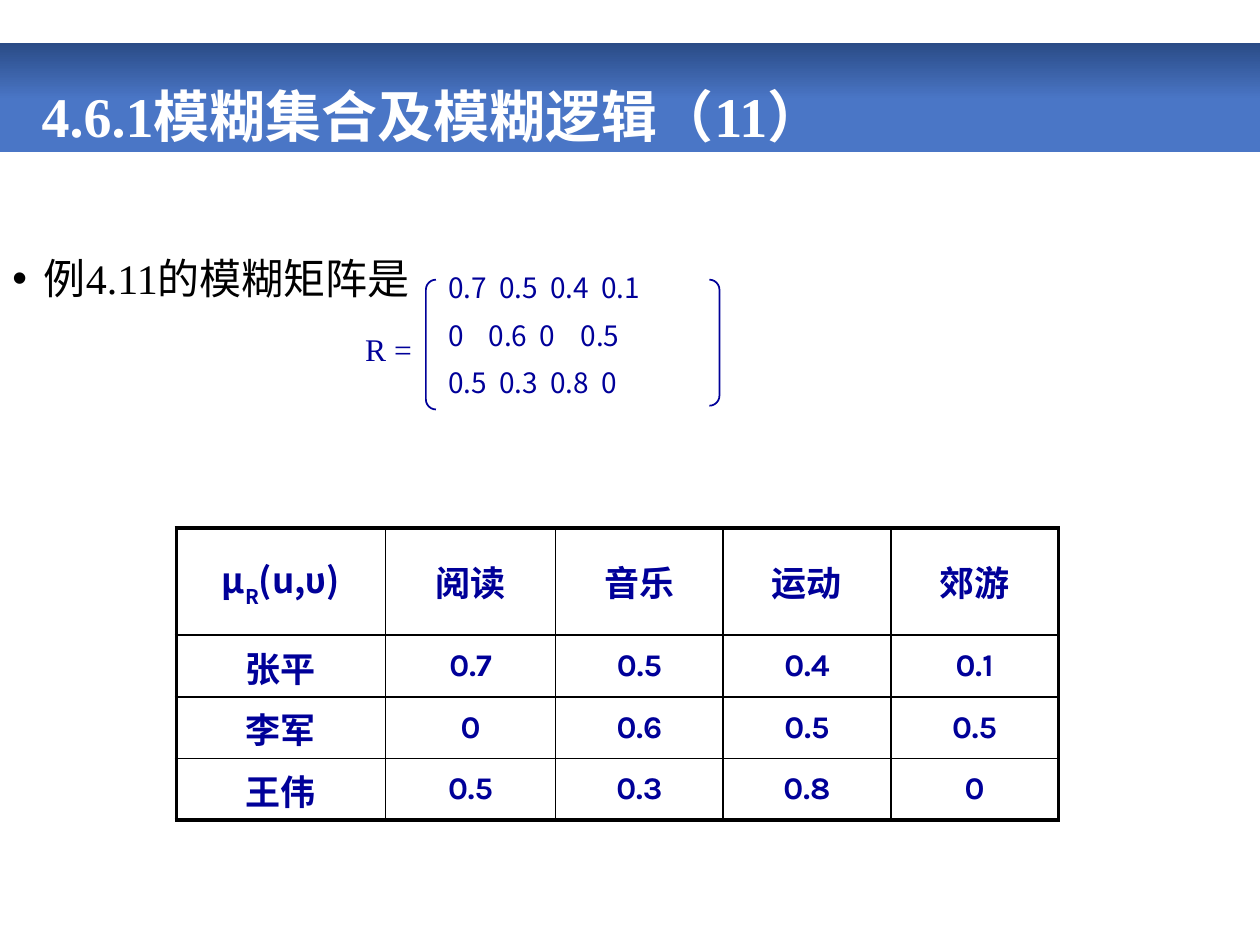
"""Build the fuzzy matrix slide: title band, relation matrix R and membership table."""
from lxml.etree import SubElement
from pptx import Presentation
from pptx.dml.color import RGBColor
from pptx.enum.shapes import MSO_SHAPE
from pptx.enum.text import MSO_ANCHOR, PP_ALIGN
from pptx.oxml.ns import qn
from pptx.util import Inches, Pt

NAVY = RGBColor(0x00, 0x00, 0x99)
WHITE = RGBColor(0xFF, 0xFF, 0xFF)
BLACK = RGBColor(0x00, 0x00, 0x00)
BAND_LIGHT = RGBColor(0x4A, 0x76, 0xC6)
BAND_DARK = RGBColor(0x2A, 0x4B, 0x86)
SERIF, SANS, CJK, NUM = "Times New Roman", "Calibri", "Noto Sans CJK SC", "Karla"


def child(parent, tag, **attrs):
    return SubElement(parent, qn(tag), **attrs)


def write(p, text, size, font, color, bold=False):
    r = p.add_run()
    r.text = text
    r.font.size, r.font.name, r.font.bold = Pt(size), font, bold
    r.font.color.rgb = color
    child(r._r.get_or_add_rPr(), "a:ea", typeface=CJK)
    return r


prs = Presentation()
prs.slide_width, prs.slide_height = Inches(10), Inches(7.5)
COL, ROW = prs.slide_width // 100, prs.slide_height // 75
s = prs.slides.add_slide(prs.slide_layouts[5])

band = s.shapes.add_shape(MSO_SHAPE.RECTANGLE, 0, int(3.4 * ROW), 100 * COL, int(8.7 * ROW))
band.shadow.inherit = False
band.line.fill.background()
band.fill.gradient()
band.fill.gradient_angle = 90
for stop, color, pos in zip(band.fill.gradient_stops, (BAND_LIGHT, BAND_DARK), (0.48, 1)):
    stop.color.rgb, stop.position = color, pos
s.shapes._spTree.insert(2, band._element)

title = s.shapes.title
title.left, title.top = int(2.3 * COL), int(4.7 * ROW)
title.width, title.height = int(93.5 * COL), int(7.7 * ROW)
tf = title.text_frame
tf.vertical_anchor = MSO_ANCHOR.BOTTOM
p = tf.paragraphs[0]
p.alignment, p.line_spacing = PP_ALIGN.LEFT, 0.9
write(p, "4.6.1模糊集合及模糊逻辑（11）", 32, SERIF, WHITE, True)

body = s.shapes.add_textbox(0, 20 * ROW, int(86.2 * COL), int(47.6 * ROW))
tf = body.text_frame
tf.word_wrap = True
p = tf.paragraphs[0]
p.line_spacing, p.space_before = 0.9, Pt(10)
pPr = p._p.get_or_add_pPr()
pPr.set("marL", str(Inches(0.25)))
pPr.set("indent", str(-Inches(0.25)))
child(pPr, "a:buFont", typeface="Arial")
child(pPr, "a:buChar", char="•")
for text, font in (("例", SANS), ("4.11", SERIF), ("的模糊矩阵是", SANS)):
    write(p, text, 24, font, BLACK)

matrix = s.shapes.add_group_shape()
tf = matrix.shapes.add_textbox(int(34.6 * COL), 21 * ROW, int(22.6 * COL), int(11.7 * ROW)).text_frame
tf.word_wrap = True
even = (4.05, 8.1, 12.15)
lines = (("0.7\t0.5\t0.4\t0.1", even), ("0\t0.6\t0\t0.5", (3.2, 7.25, 10.5)), ("0.5\t0.3\t0.8\t0", even))
for i, (text, tabs) in enumerate(lines):
    p = tf.add_paragraph() if i else tf.paragraphs[0]
    pPr = p._p.get_or_add_pPr()
    child(child(pPr, "a:spcBef"), "a:spcPct", val="50000")
    stops = child(pPr, "a:tabLst")
    for tab in tabs:
        child(stops, "a:tab", pos=str(int(tab * COL)), algn="l")
    write(p, text, 16, CJK, NAVY)

tf = matrix.shapes.add_textbox(28 * COL, int(25.7 * ROW), int(6.9 * COL), 4 * ROW).text_frame
tf.word_wrap = True
p = tf.paragraphs[0]
child(child(p._p.get_or_add_pPr(), "a:spcBef"), "a:spcPct", val="50000")
write(p, "R =", 18, SERIF, NAVY)

for kind, x, h in ((MSO_SHAPE.LEFT_BRACKET, 33.8, 10.3), (MSO_SHAPE.RIGHT_BRACKET, 56.3, 10)):
    sp = matrix.shapes.add_shape(kind, int(x * COL), int(22.2 * ROW), int(0.8 * COL), int(h * ROW))
    sp.shadow.inherit = False
    sp.adjustments[0] = 1
    sp.fill.background()
    sp.line.color.rgb, sp.line.width = NAVY, Pt(1)

data = (
    ("μ", "阅读", "音乐", "运动", "郊游"),
    ("张平", "0.7", "0.5", "0.4", "0.1"),
    ("李军", "0", "0.6", "0.5", "0.5"),
    ("王伟", "0.5", "0.3", "0.8", "0"),
)
widths, heights = (16.6, 13.5, 13.3, 13.3, 13.3), (8.5, 4.9, 4.9, 4.9)
table = s.shapes.add_table(4, 5, 14 * COL, int(41.9 * ROW), 70 * COL, int(23.2 * ROW)).table
table.first_row = table.horz_banding = False
for column, w in zip(table.columns, widths):
    column.width = int(w * COL)
for row, h in zip(table.rows, heights):
    row.height = int(h * ROW)
for i, values in enumerate(data):
    for j, text in enumerate(values):
        cell = table.cell(i, j)
        cell.vertical_anchor = MSO_ANCHOR.MIDDLE
        p = cell.text_frame.paragraphs[0]
        p.alignment = PP_ALIGN.CENTER
        child(child(p._p.get_or_add_pPr(), "a:spcBef"), "a:spcPct", val="20000")
        size, font = (18, NUM) if i and j else (20, CJK)
        write(p, text, size, font, NAVY, True)
        if i == j == 0:
            sub = write(p, "R", size, font, NAVY, True)
            sub._r.rPr.set("baseline", "-30000")
            write(p, "(u,υ)", size, font, NAVY, True)
        tcPr = cell._tc.get_or_add_tcPr()
        for side, outer in (("L", j == 0), ("R", j == 4), ("T", i == 0), ("B", i == 3)):
            ln = child(tcPr, "a:ln" + side, w=str(Pt(2.25 if outer else 1)))
            child(child(ln, "a:solidFill"), "a:srgbClr", val=str(BLACK))
        cell.fill.background()

prs.save("out.pptx")
